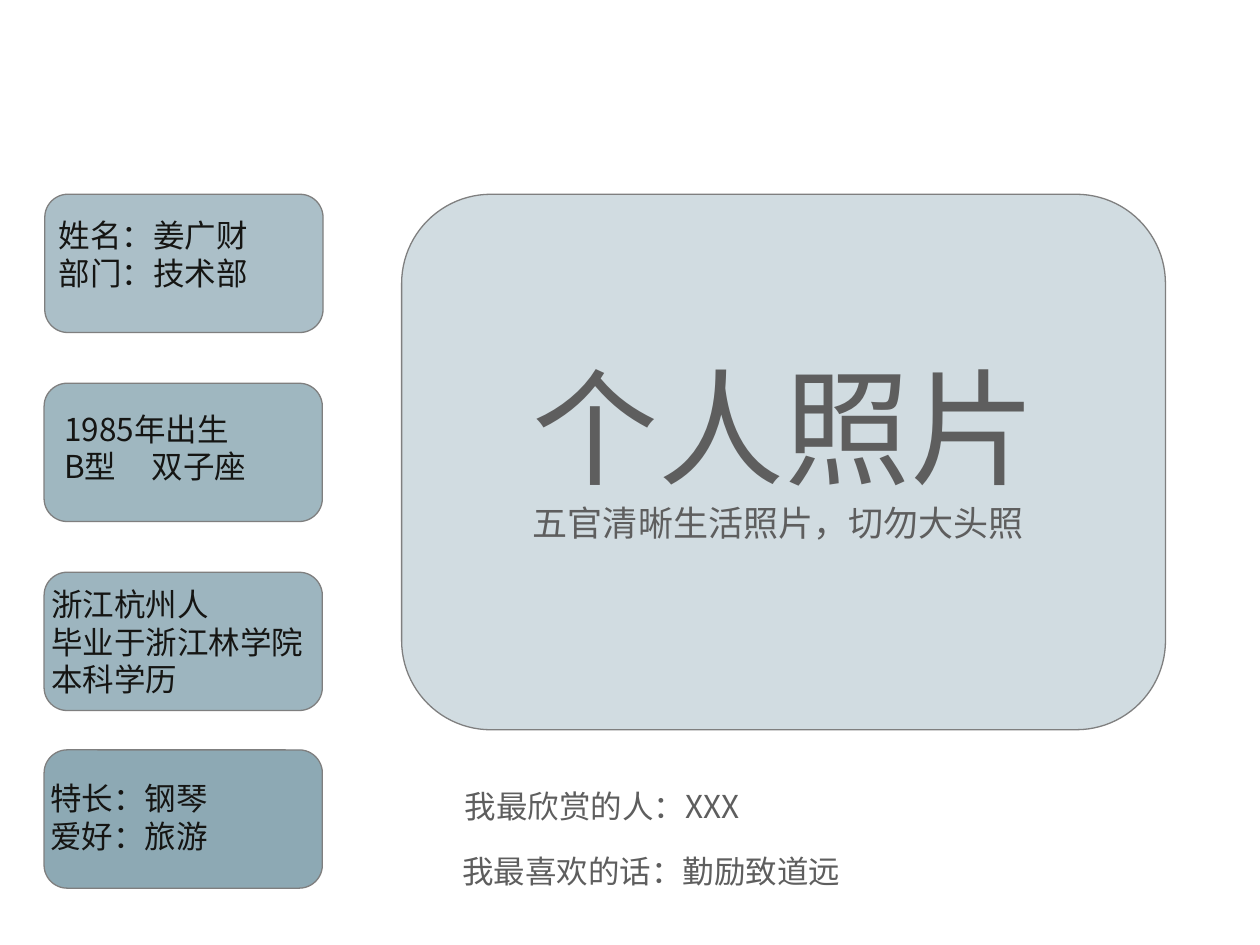
import pptx
import pptx.dml.color
import pptx.enum.shapes
import pptx.enum.text
import pptx.oxml.ns
import pptx.util
from lxml import etree

Pt = pptx.util.Pt
CJK = "Noto Sans CJK SC"
PANEL, OUTLINE, DARK, GREY = "1C546B", "7F7F7F", "151513", "5E5E5E"

# Rounded panels: left, top, width, height, opacity in percent
CARD = (159, 79)
PANELS = [
    (25.6, 111, *CARD, 37),
    (25.2, 219, *CARD, 42),
    (25.2, 327, *CARD, 43),
    (25.2, 428.5, *CARD, 50),
    (229.5, 111, 436.5, 306, 20),
]

# Texts: left, top, width, wrap, font, colour, lines of (text, size)
TEXTS = [
    (26.4, 120.2, 186.5, True, "Arial", DARK, [("姓名：姜广财", 18), ("部门：技术部", 18)]),
    (29.6, 230.5, 125, False, CJK, DARK, [("1985年出生", 18), ("B型\t双子座", 18)]),
    (22.1, 330.6, 158.4, False, CJK, DARK,
     [("浙江杭州人", 18), ("毕业于浙江林学院", 18), ("本科学历", 18)]),
    (21.6, 441.5, 104.4, False, CJK, DARK, [("特长：钢琴", 18), ("爱好：旅游", 18)]),
    (297.4, 196.4, 303.4, True, "Arial", GREY,
     [("个人照片", 72), ("五官清晰生活照片，切勿大头照", 20)]),
    (258.5, 446.4, 176.4, False, CJK, GREY, [("我最欣赏的人：XXX", 18)]),
    (257, 483.1, 331, True, CJK, GREY, [("我最喜欢的话：勤励致道远", 18)]),
]
LINE_HEIGHT = 1.2
TAB_STOP = 50


def rgb(value):
    return pptx.dml.color.RGBColor.from_string(value)


def add_xml(parent, tag, **attributes):
    return etree.SubElement(parent, pptx.oxml.ns.qn(tag), **attributes)


def add_panel(s, left, top, width, height, opacity):
    sp = s.shapes.add_shape(pptx.enum.shapes.MSO_SHAPE.ROUNDED_RECTANGLE,
                            Pt(left), Pt(top), Pt(width), Pt(height))
    sp.shadow.inherit = False
    sp.fill.solid()
    sp.fill.fore_color.rgb = rgb(PANEL)
    color = sp.fill._xPr.find(".//" + pptx.oxml.ns.qn("a:srgbClr"))
    add_xml(color, "a:alpha", val=str(opacity * 1000))
    sp.line.color.rgb = rgb(OUTLINE)
    sp.line.width = Pt(0.75)


def add_text(s, left, top, width, wrap, font, color, lines):
    height = sum(size for _, size in lines) * LINE_HEIGHT + 7.2
    tf = s.shapes.add_textbox(Pt(left), Pt(top), Pt(width), Pt(height)).text_frame
    tf.word_wrap = wrap
    tf.auto_size = pptx.enum.text.MSO_AUTO_SIZE.SHAPE_TO_FIT_TEXT
    tf.text = "\n".join(text for text, _ in lines)
    for p, (text, size) in zip(tf.paragraphs, lines):
        p.line_spacing = Pt(size * LINE_HEIGHT)
        if "\t" in text:
            tabs = add_xml(p._p.get_or_add_pPr(), "a:tabLst")
            add_xml(tabs, "a:tab", pos=str(Pt(TAB_STOP)), algn="l")
        for r in p.runs:
            r.font.size = Pt(size)
            r.font.name = font
            r.font.color.rgb = rgb(color)
            add_xml(r._r.get_or_add_rPr(), "a:ea", typeface=CJK)


prs = pptx.Presentation()
prs.slide_width, prs.slide_height = Pt(720), Pt(540)
s = prs.slides.add_slide(prs.slide_layouts[6])
for panel in PANELS:
    add_panel(s, *panel)
for text in TEXTS:
    add_text(s, *text)
prs.save("out.pptx")
